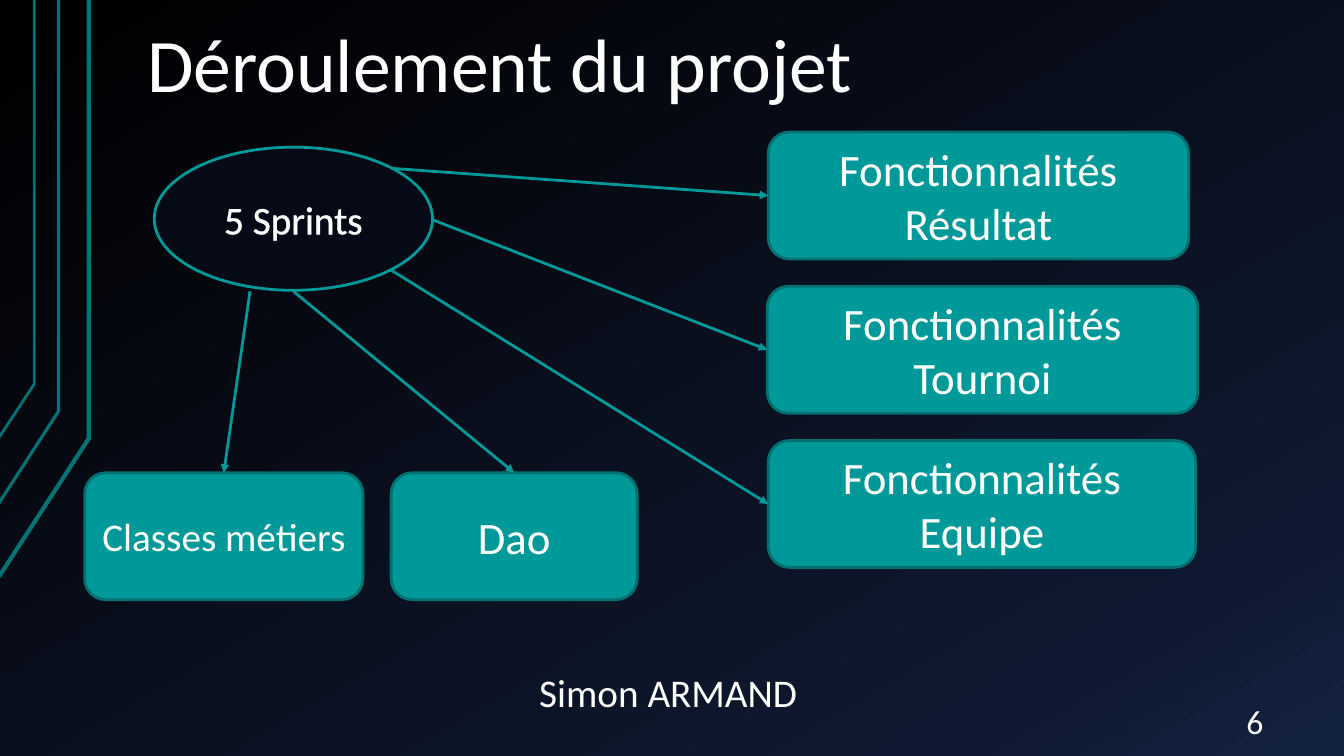
from pptx import Presentation
from pptx.dml.color import RGBColor
from pptx.enum import shapes, text
from pptx.oxml import parse_xml
from pptx.oxml.ns import nsdecls, qn
from pptx.util import Inches, Pt

COLORS = {
    "white": "FFFFFF",
    "teal": "009999",
    "box_edge": "007171",
    "rail": "007373",
    "ellipse": "050A16",
}
BACKGROUND_STOPS = [(0, "000000"), (85, "0F1931"), (100, "142242")]
FONT = "Calibri"
BOX_HEIGHT = 1.26


def rgb(name):
    return RGBColor.from_string(COLORS[name])


def paint_background(page):
    fill = page.background.fill
    fill.gradient()
    fill.gradient_angle = 300  # counter-clockwise, so 60 degrees clockwise
    stops = page.element.find(".//" + qn("a:gsLst"))
    for stop in list(stops):
        stops.remove(stop)
    for position, color in BACKGROUND_STOPS:
        stops.append(parse_xml(
            f'<a:gs {nsdecls("a")} pos="{position * 1000}"><a:srgbClr val="{color}"/></a:gs>'))


def set_line(shape, color, width):
    shape.line.color.rgb = rgb(color)
    shape.line.width = Pt(width)


def write(shape, words, size, align, anchor):
    frame = shape.text_frame
    frame.word_wrap = True
    frame.vertical_anchor = anchor
    para = frame.paragraphs[0]
    para.alignment = align
    span = para.add_run()
    span.text = words
    span.font.size = Pt(size)
    span.font.name = FONT
    span.font.color.rgb = rgb("white")
    return span


def add_rail(page, points, width):
    """Draw one of the bent lines at the left edge."""
    corners = [(Inches(x), Inches(y)) for x, y in points]
    builder = page.shapes.build_freeform(*corners[0])
    builder.add_line_segments(corners[1:], close=False)
    rail = builder.convert_to_shape()
    rail.shadow.inherit = False
    rail.fill.background()
    set_line(rail, "rail", width)


def add_label(page, words, place, size, align=text.PP_ALIGN.LEFT,
              anchor=text.MSO_ANCHOR.TOP, insets=(0.1, 0.05)):
    label = page.shapes.add_textbox(*map(Inches, place))
    write(label, words, size, align, anchor)
    frame = label.text_frame
    frame.margin_left = frame.margin_right = Inches(insets[0])
    frame.margin_top = frame.margin_bottom = Inches(insets[1])
    return label


def add_node(page, kind, words, place, size, fill, edge):
    node = page.shapes.add_shape(kind, *map(Inches, place))
    node.shadow.inherit = False
    node.fill.solid()
    node.fill.fore_color.rgb = rgb(fill)
    set_line(node, edge, 2)
    return write(node, words, size, text.PP_ALIGN.CENTER, text.MSO_ANCHOR.MIDDLE)


def add_arrow(page, start, end):
    arrow = page.shapes.add_connector(
        shapes.MSO_CONNECTOR.STRAIGHT, *map(Inches, (*start, *end)))
    set_line(arrow, "teal", 2)
    arrow.line._get_or_add_ln().append(
        parse_xml(f'<a:tailEnd {nsdecls("a")} type="triangle"/>'))
    arrow.element.spPr.append(parse_xml(f'<a:effectLst {nsdecls("a")}/>'))


def main():
    deck = Presentation()
    deck.slide_width, deck.slide_height = Inches(13.33), Inches(7.5)
    page = deck.slides.add_slide(deck.slide_layouts[6])
    paint_background(page)

    for x, bend, foot, width in [(0.88, 4.35, 5.72, 3),
                                 (0.58, 4.08, 4.99, 2.25),
                                 (0.34, 3.81, 4.34, 2)]:
        add_rail(page, [(-0.01, foot), (x, bend), (x, 0)], width)

    title = add_label(page, "Déroulement du projet", (1.33, 0.3, 11.33, 0.85), 54,
                      anchor=text.MSO_ANCHOR.BOTTOM, insets=(0.13, 0.07))
    title.text_frame.paragraphs[0].line_spacing = 0.9

    sprints = add_node(page, shapes.MSO_SHAPE.OVAL, "5 Sprints",
                       (1.53, 1.46, 2.76, 1.42), 28, "ellipse", "teal")
    sprints.font._element.insert(0, parse_xml(
        f'<a:ln {nsdecls("a")} w="{Pt(0.75)}"><a:solidFill>'
        f'<a:srgbClr val="{COLORS["white"]}"/></a:solidFill></a:ln>'))

    # words, left, top, width, text size, arrow start on the ellipse
    features = [
        ("Fonctionnalités Résultat", 7.62, 1.31, 4.17, 32, (3.88, 1.67)),
        ("Fonctionnalités Tournoi", 7.61, 2.84, 4.27, 32, (4.29, 2.18)),
        ("Fonctionnalités Equipe", 7.62, 4.37, 4.24, 32, (3.88, 2.68)),
    ]
    layers = [
        ("Dao", 3.88, 4.69, 2.44, 32, (2.91, 2.89)),
        ("Classes métiers", 0.84, 4.69, 2.76, 28, (2.48, 2.89)),
    ]
    for words, left, top, width, size, _ in features + layers:
        add_node(page, shapes.MSO_SHAPE.ROUNDED_RECTANGLE, words,
                 (left, top, width, BOX_HEIGHT), size, "teal", "box_edge")
    for _, left, top, _, _, start in features:
        add_arrow(page, start, (left, top + BOX_HEIGHT / 2))
    for _, left, top, width, _, start in layers:
        add_arrow(page, start, (left + width / 2, top))

    add_label(page, "6", (11.55, 6.95, 1.11, 0.4), 24, text.PP_ALIGN.RIGHT,
              text.MSO_ANCHOR.MIDDLE, (0.13, 0.07))
    author = add_label(page, "Simon ARMAND", (5.25, 6.58, 2.83, 0.57), 28)
    author.text_frame.auto_size = text.MSO_AUTO_SIZE.SHAPE_TO_FIT_TEXT

    deck.save("out.pptx")


if __name__ == "__main__":
    main()
